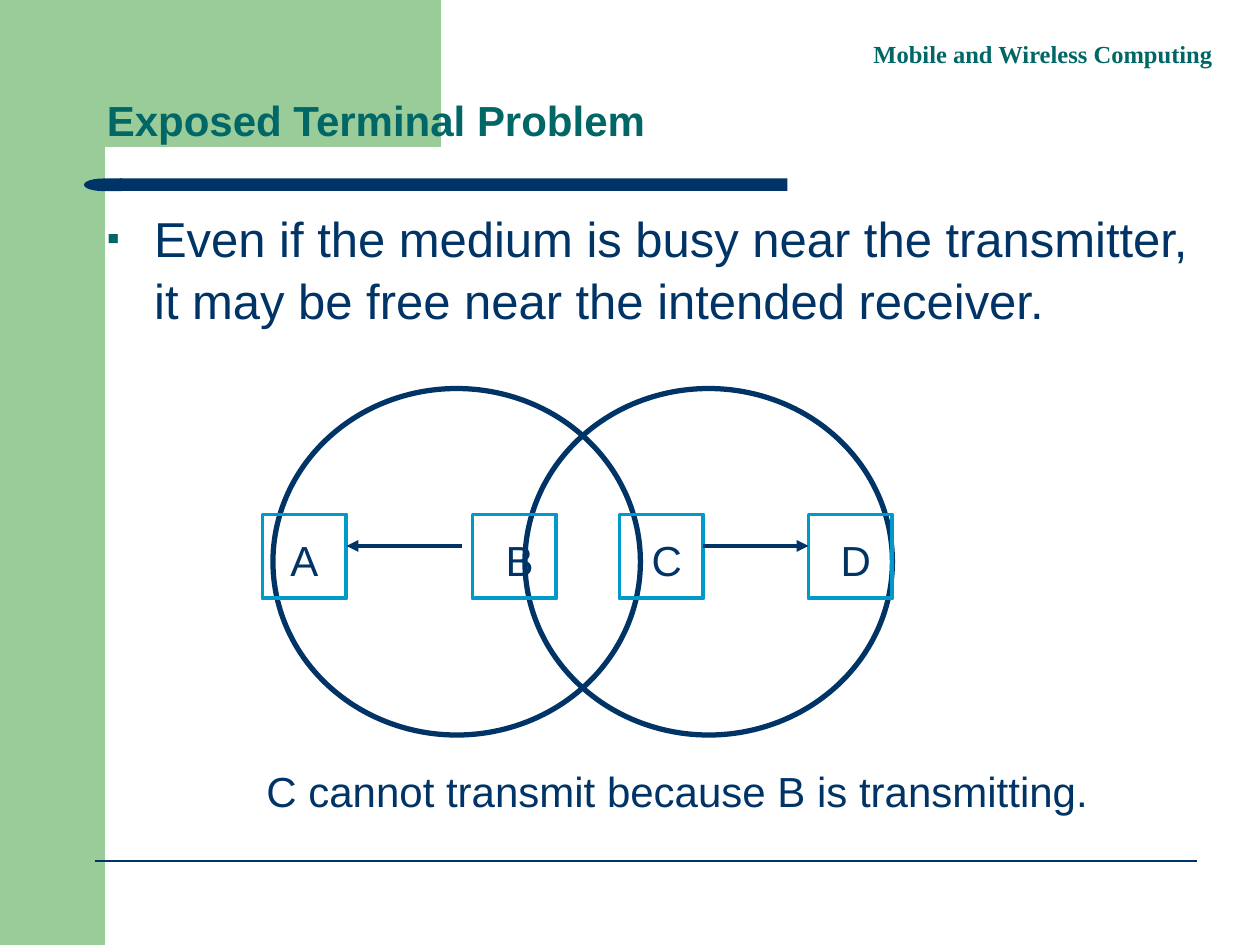
from lxml.etree import SubElement
from pptx import Presentation
from pptx.dml.color import RGBColor
from pptx.enum.shapes import MSO_CONNECTOR, MSO_SHAPE as SHAPE
from pptx.enum.text import MSO_ANCHOR as ANCHOR, PP_ALIGN as ALIGN
from pptx.oxml.ns import qn
from pptx.util import Pt

COLORS = {
    "green": "99CC99",
    "navy": "003366",
    "teal": "006666",
    "blue": "0099CC",
}


def rgb(name):
    return RGBColor.from_string(COLORS[name])


def add_shape(s, kind, box, fill=None, line=None, width=1):
    sp = s.shapes.add_shape(kind, *map(Pt, box))
    sp.shadow.inherit = False
    if fill:
        sp.fill.solid()
        sp.fill.fore_color.rgb = rgb(fill)
    else:
        sp.fill.background()
    if line:
        sp.line.color.rgb = rgb(line)
        sp.line.width = Pt(width)
    else:
        sp.line.fill.background()
    return sp


def add_text(s, text, box, size=24, color="navy", font="Arial", bold=False,
             align=ALIGN.LEFT, anchor=ANCHOR.TOP, spacing=None):
    tf = s.shapes.add_textbox(*map(Pt, box)).text_frame
    tf.word_wrap = True
    tf.vertical_anchor = anchor
    p = tf.paragraphs[0]
    p.alignment = align
    if spacing:
        p.line_spacing = spacing
    r = p.add_run()
    r.text = text
    r.font.size = Pt(size)
    r.font.name = font
    r.font.bold = bold
    r.font.color.rgb = rgb(color)
    return p


def add_bullet(p, char, color, percent, indent):
    pPr = p._p.get_or_add_pPr()
    pPr.set("marL", str(Pt(indent)))
    pPr.set("indent", str(-Pt(indent)))
    clr = SubElement(pPr, qn("a:buClr"))
    SubElement(clr, qn("a:srgbClr"), val=COLORS[color])
    SubElement(pPr, qn("a:buSzPct"), val=str(percent * 1000))
    SubElement(pPr, qn("a:buFont"), typeface="Arial")
    SubElement(pPr, qn("a:buChar"), char=char)


def add_line(s, x1, x2, y, width, arrow=False):
    cx = s.shapes.add_connector(MSO_CONNECTOR.STRAIGHT, Pt(x1), Pt(y), Pt(x2), Pt(y))
    cx.line.color.rgb = rgb("navy")
    cx.line.width = Pt(width)
    if arrow:
        SubElement(cx.line._get_or_add_ln(), qn("a:tailEnd"), type="triangle")
    SubElement(cx._element.spPr, qn("a:effectLst"))


def add_frame(s):
    add_shape(s, SHAPE.RECTANGLE, (0, 0, 60, 540), "green")
    add_shape(s, SHAPE.RECTANGLE, (54, 0, 198, 84), "green")
    add_shape(s, SHAPE.RECTANGLE, (68.4, 102, 381.6, 7.2), "navy")
    cap = add_shape(s, SHAPE.FLOWCHART_DELAY, (48, 102, 21.6, 7.2), "navy")
    cap.rotation = 180
    add_text(s, "Mobile and Wireless Computing", (492, 19, 276, 24.5), 14, "teal",
             "Times New Roman", bold=True)
    add_line(s, 54, 684, 492, 0.75)


def add_terminal(s, name, left, label_left):
    add_shape(s, SHAPE.RECTANGLE, (left, 294, 48, 48), line="blue", width=2.25)
    add_text(s, name, (label_left, 302, left + 48 - label_left, 36), align=ALIGN.CENTER)


def add_diagram(s):
    for left in (156, 300):
        add_shape(s, SHAPE.OVAL, (left, 222, 210, 198), line="navy", width=3)
    for name, left, label_left in (("A", 150, 150), ("B", 270, 276),
                                   ("C", 354, 360), ("D", 462, 468)):
        add_terminal(s, name, left, label_left)
    for start, end in ((264, 198), (402, 462)):
        add_line(s, start, end, 312, 2.25, arrow=True)
    add_text(s, "C cannot transmit because B is transmitting.", (132, 434, 510, 36),
             align=ALIGN.CENTER)


def main():
    prs = Presentation()
    prs.slide_width, prs.slide_height = Pt(720), Pt(540)
    s = prs.slides.add_slide(prs.slide_layouts[6])
    add_frame(s)
    add_text(s, "Exposed Terminal Problem", (54, 43, 648, 54), color="teal", bold=True,
             anchor=ANCHOR.MIDDLE, spacing=0.9)
    p = add_text(s, "Even if the medium is busy near the transmitter, "
                 "it may be free near the intended receiver.",
                 (54, 114, 648, 390), 28, spacing=1.05)
    add_bullet(p, "▪", "teal", 75, 27)
    add_diagram(s)
    prs.save("out.pptx")


if __name__ == "__main__":
    main()
